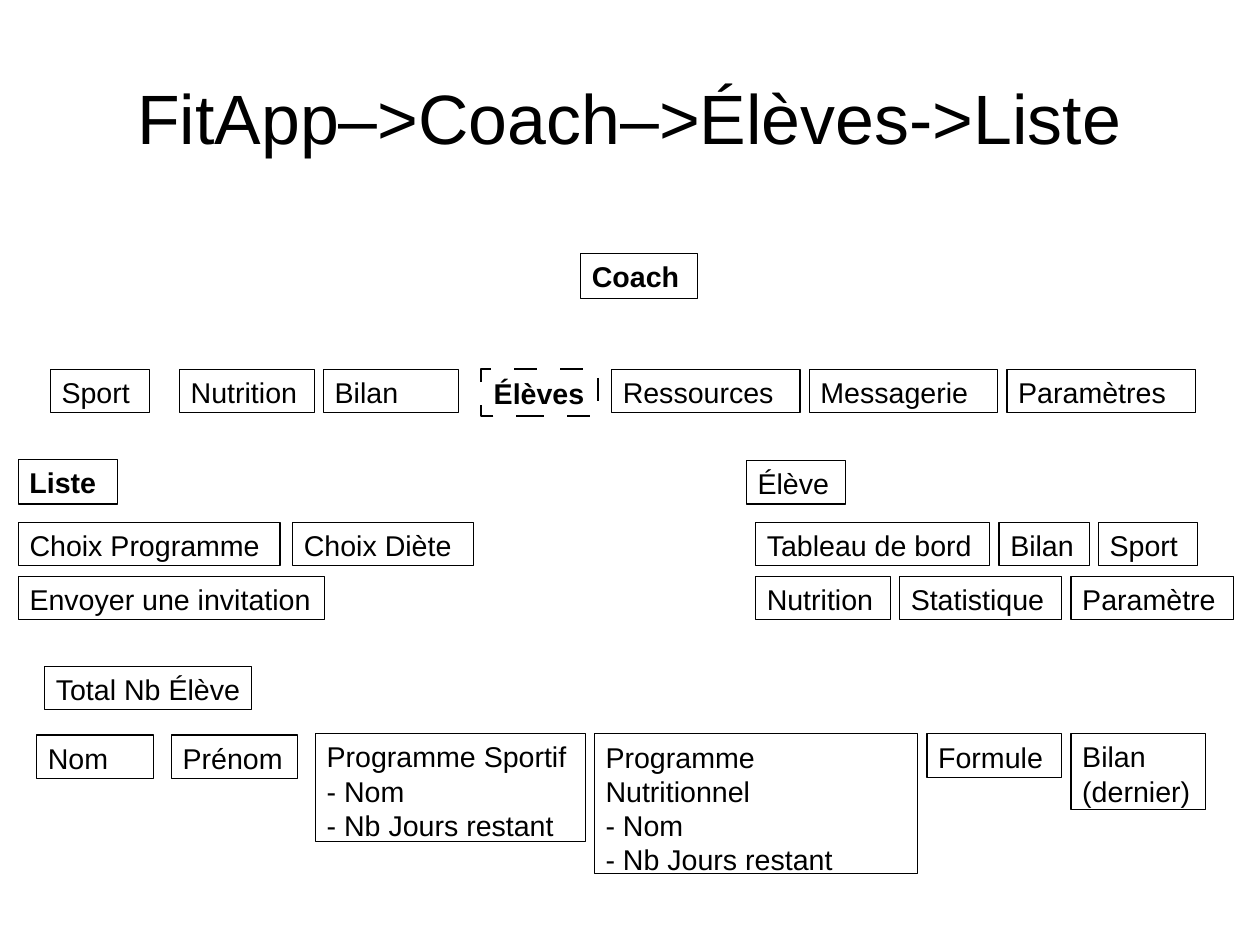
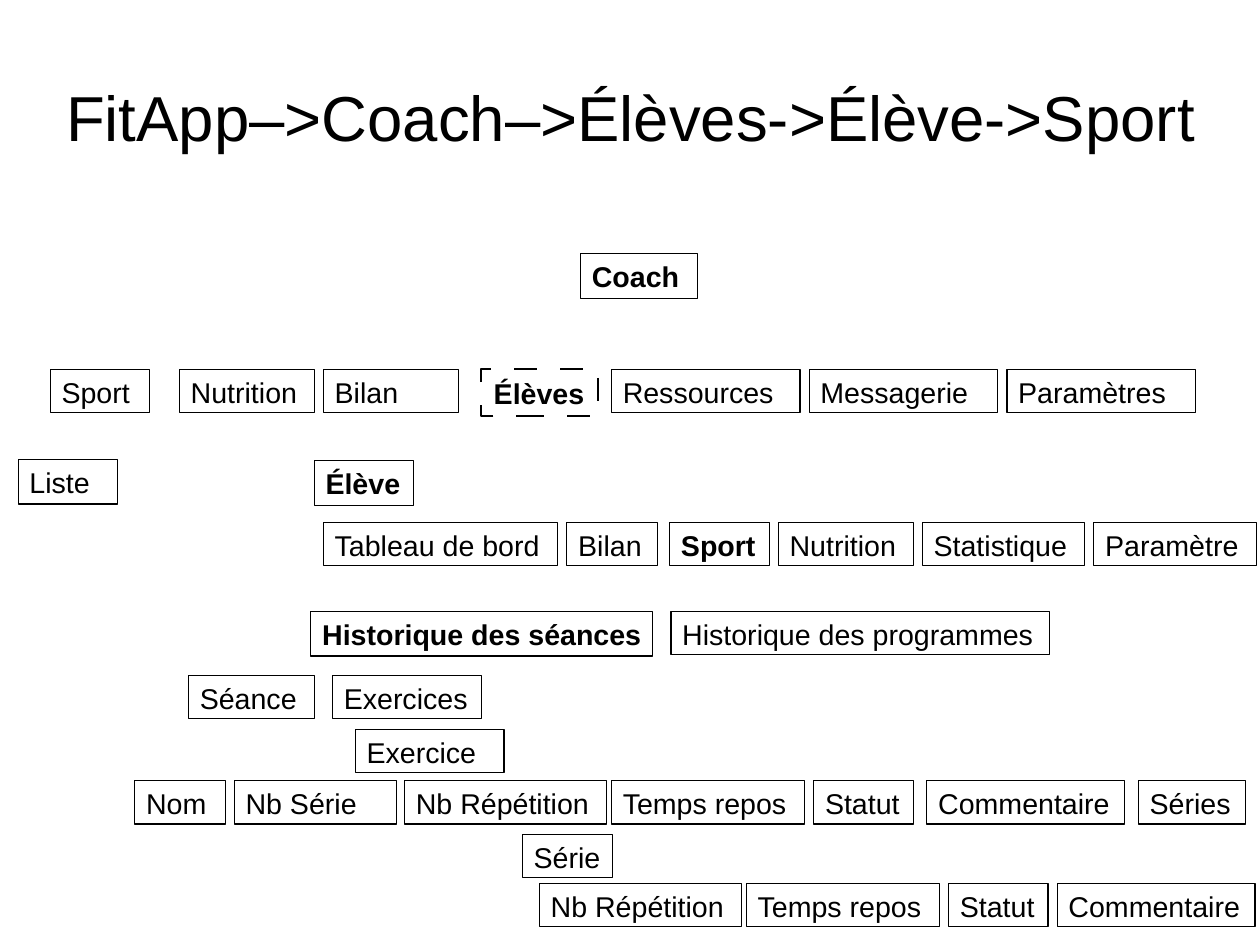
from lxml import etree
from pptx import Presentation
from pptx.dml.color import RGBColor
from pptx.enum.shapes import MSO_SHAPE
from pptx.enum.text import MSO_ANCHOR, PP_ALIGN
from pptx.oxml.ns import qn
from pptx.util import Inches, Pt

RECT = MSO_SHAPE.RECTANGLE
TOP, MIDDLE = MSO_ANCHOR.TOP, MSO_ANCHOR.MIDDLE
LEFT, CENTER = PP_ALIGN.LEFT, PP_ALIGN.CENTER

# Shared style
INK = "000000"
FONT = "Arial"
SIZE = 18
GAP = 0.08
HIGH = 0.38
DASH = "966000"  # dash and gap, in 1/1000 % of the line width


def color(code):
    return RGBColor.from_string(code)


def write(shape, text, size, bold=False, align=LEFT, anchor=TOP, pads=(0, 0, 0, 0)):
    frame = shape.text_frame
    sides = ("margin_left", "margin_top", "margin_right", "margin_bottom")
    style = {"word_wrap": True, "vertical_anchor": anchor}
    style.update((side, Inches(pad)) for side, pad in zip(sides, pads))
    for name, value in style.items():
        setattr(frame, name, value)
    para = frame.paragraphs[0]
    para.text = text
    para.alignment = align
    for run in para.runs:
        for name, value in {"name": FONT, "size": Pt(size), "bold": bold}.items():
            setattr(run.font, name, value)
        run.font.color.rgb = color(INK)


def title(slide, text, left, width, size):
    box = slide.shapes.add_textbox(Inches(left), Inches(0.33), Inches(width), Inches(1.38))
    write(box, text, size, align=CENTER, anchor=MIDDLE)


def label(slide, text, left, top, width, high=HIGH, bold=False, dashed=False):
    box = slide.shapes.add_shape(RECT, Inches(left), Inches(top), Inches(width), Inches(high))
    box.shadow.inherit = False
    box.fill.background()
    box.line.color.rgb = color(INK)
    box.line.width = Pt(1.5 if dashed else 0)
    if dashed:
        line = box.element.spPr.find(qn("a:ln"))
        dash = etree.SubElement(line, qn("a:custDash"))
        etree.SubElement(dash, qn("a:ds"), d=DASH, sp=DASH)
    # One-line labels get a slim right inset so that they never wrap
    side, edge = (0.11, 0.06) if dashed else (0.1, 0.05)
    right = side if "\n" in text else 0.02
    write(box, text, SIZE, bold, pads=(side, edge, right, edge))


def row(slide, left, top, cells, active="", gap=GAP):
    """Place (text, width, height) cells side by side; the active one is bold."""
    for text, width, *high in cells:
        label(slide, text, left, top, width, *high, bold=text == active)
        left += width + gap


def menu(slide):
    # Coach and its sections
    row(slide, 5.08, 2.22, [("Coach", 1.02, 0.39)], "Coach")
    row(slide, 0.44, 3.23, [("Sport", 0.87)])
    row(slide, 1.57, 3.23, [("Nutrition", 1.18), ("Bilan", 1.18)])
    label(slide, "Élèves", 4.21, 3.23, 1.02, 0.41, bold=True, dashed=True)
    names = ("Ressources", "Messagerie", "Paramètres")
    row(slide, 5.35, 3.23, [(name, 1.65) for name in names])


def roster(slide):
    # List of pupils and its actions
    row(slide, 0.16, 4.02, [("Liste", 0.87, 0.39)], "Liste")
    row(slide, 0.16, 4.57, [("Choix Programme", 2.29), ("Choix Diète", 1.58)], gap=0.11)
    row(slide, 0.16, 5.04, [("Envoyer une invitation", 2.68)])
    # One pupil's pages
    row(slide, 6.53, 4.03, [("Élève", 0.87)])
    row(slide, 6.61, 4.57, PAGES[:3])
    row(slide, 6.61, 5.04, PAGES[3:])
    # Columns of the list
    row(slide, 0.39, 5.83, [("Total Nb Élève", 1.81)])
    row(slide, 0.32, 6.43, [("Nom", 1.02), ("Prénom", 1.1)], gap=0.16)
    days = "\n- Nom\n- Nb Jours restant"
    row(slide, 2.76, 6.42, [
        ("Programme Sportif" + days, 2.36, 0.94),
        ("Programme Nutritionnel" + days, 2.83, 1.22),
        ("Formule", 1.18),
        ("Bilan\n(dernier)", 1.18, 0.66),
    ])


def sport(slide):
    # Pupil's pages
    row(slide, 0.16, 4.02, [("Liste", 0.87, 0.39)])
    row(slide, 2.75, 4.03, [("Élève", 0.87, 0.39)], "Élève")
    row(slide, 2.83, 4.57, PAGES[:2])
    row(slide, 5.86, 4.57, PAGES[2:], "Sport")
    # History, sessions and exercises
    row(slide, 2.72, 5.35, [
        ("Historique des séances", 2.99, 0.39),
        ("Historique des programmes", 3.31),
    ], "Historique des séances", 0.16)
    row(slide, 1.65, 5.91, [("Séance", 1.1), ("Exercices", 1.3)], gap=0.16)
    row(slide, 3.11, 6.38, [("Exercice", 1.3)])
    # Fields of an exercise, then of a set
    row(slide, 1.18, 6.83, [("Nom", 0.79), ("Nb Série", 1.42)])
    fields(slide, 3.54, 6.83, 8.11)
    row(slide, 9.96, 6.83, [("Séries", 0.94)])
    row(slide, 4.57, 7.3, [("Série", 0.79)])
    fields(slide, 4.72, 7.73, 9.25)


def fields(slide, left, top, note):
    row(slide, left, top, [("Nb Répétition", 1.77)])
    row(slide, left + 1.81, top, [("Temps repos", 1.69), ("Statut", 0.87)])
    row(slide, note, top, [("Commentaire", 1.73)])


PAGES = [
    ("Tableau de bord", 2.05), ("Bilan", 0.79), ("Sport", 0.87),
    ("Nutrition", 1.18), ("Statistique", 1.42), ("Paramètre", 1.42),
]


def page(deck, text, left, width, size, body):
    slide = deck.slides.add_slide(deck.slide_layouts[6])
    title(slide, text, left, width, size)
    menu(slide)
    body(slide)


def main():
    deck = Presentation()
    # 28 by 21 cm
    deck.slide_width = Inches(28 / 2.54)
    deck.slide_height = Inches(21 / 2.54)
    page(deck, "FitApp–>Coach–>Élèves->Liste", 0.55, 9.92, 44, roster)
    page(deck, "FitApp–>Coach–>Élèves->Élève->Sport", 0.08, 10.87, 40, sport)
    deck.save("out.pptx")


if __name__ == "__main__":
    main()
